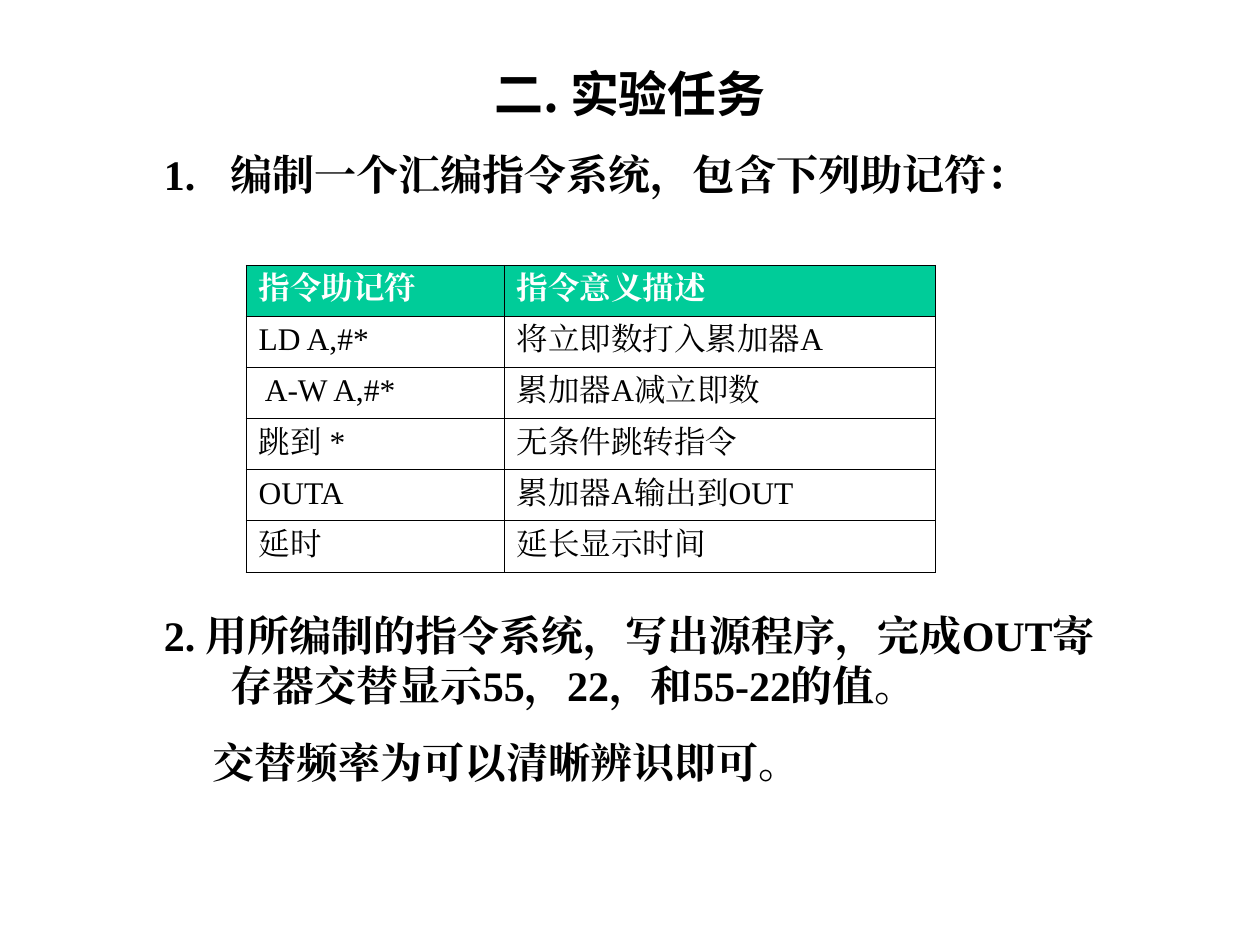
from lxml import etree
from pptx import Presentation
from pptx.dml.color import RGBColor
from pptx.enum.text import MSO_ANCHOR, PP_ALIGN
from pptx.oxml.ns import qn
from pptx.util import Pt

TOP = MSO_ANCHOR.TOP
CENTER = PP_ALIGN.CENTER
SERIF, SANS = "Times New Roman", "Noto Sans CJK SC"
BLACK, WHITE, GREEN = "000000", "FFFFFF", "00CC99"


def add_run(p, text, size, bold=True, color=BLACK, font=SERIF):
    """Add one formatted run to a paragraph."""
    r = p.add_run()
    r.text = text
    r.font.size = Pt(size)
    r.font.bold = bold
    r.font.name = font
    r.font.color.rgb = RGBColor.from_string(color)
    etree.SubElement(r._r.get_or_add_rPr(), qn("a:ea"), typeface=font)


def set_frame(tf):
    """Wrap the text from the top of the frame without vertical insets."""
    tf.word_wrap = True
    tf.vertical_anchor = TOP
    tf.margin_left = tf.margin_top = tf.margin_bottom = 0
    tf.margin_right = Pt(7.2)


prs = Presentation()
prs.slide_width, prs.slide_height = Pt(720), Pt(540)
s = prs.slides.add_slide(prs.slide_layouts[5])
left, width = Pt(93.6), Pt(540)

title = s.shapes.title
title.left, title.top, title.width, title.height = left, Pt(36), width, Pt(42)
set_frame(title.text_frame)
p = title.text_frame.paragraphs[0]
p.alignment = CENTER
add_run(p, "二. 实验任务", 28, font=SANS)

# Tasks: top, height, then text, left indent and first-line indent of each paragraph
tasks = [
    (85, 36, [("编制一个汇编指令系统，包含下列助记符：", 38.4, -38.4)]),
    (348, 110, [
        ("2. 用所编制的指令系统，写出源程序，完成OUT寄存器交替显示55，22，和55-22的值。", 38.4, -38.4),
        ("交替频率为可以清晰辨识即可。", 28, 0),
    ]),
]
for top, height, paragraphs in tasks:
    tf = s.shapes.add_textbox(left, Pt(top), width, Pt(height)).text_frame
    set_frame(tf)
    for i, (text, margin, indent) in enumerate(paragraphs):
        p = tf.add_paragraph() if i else tf.paragraphs[0]
        p.space_before = Pt(15 if i else 0)
        pPr = p._p.get_or_add_pPr()
        pPr.set("marL", str(Pt(margin)))
        pPr.set("indent", str(Pt(indent)))
        if top == tasks[0][0]:
            etree.SubElement(pPr, qn("a:buFont"), typeface=SANS)
            etree.SubElement(pPr, qn("a:buAutoNum"), type="arabicPeriod")
        add_run(p, text, 24)

instructions = [
    ("指令助记符", "指令意义描述"),
    ("LD A,#*", "将立即数打入累加器A"),
    (" A-W A,#*", "累加器A减立即数"),
    ("跳到 *", "无条件跳转指令"),
    ("OUTA", "累加器A输出到OUT"),
    ("延时", "延长显示时间"),
]
row_height = 29.2
table = s.shapes.add_table(len(instructions), 2, Pt(140.6), Pt(151.6), Pt(394),
                           Pt(row_height * len(instructions))).table
table.columns[0].width, table.columns[1].width = Pt(147.6), Pt(246.4)
for i, row in enumerate(instructions):
    table.rows[i].height = Pt(row_height)
    for j, text in enumerate(row):
        cell = table.cell(i, j)
        add_run(cell.text_frame.paragraphs[0], text, 18, i == 0, BLACK if i else WHITE)
        tcPr = cell._tc.get_or_add_tcPr()
        for side in ("a:lnL", "a:lnR", "a:lnT", "a:lnB"):
            ln = etree.SubElement(tcPr, qn(side), w=str(Pt(0.45)))
            fill = etree.SubElement(ln, qn("a:solidFill"))
            etree.SubElement(fill, qn("a:srgbClr"), val=BLACK)
        if i:
            cell.fill.background()
        else:
            cell.fill.solid()
            cell.fill.fore_color.rgb = RGBColor.from_string(GREEN)

prs.save("out.pptx")
